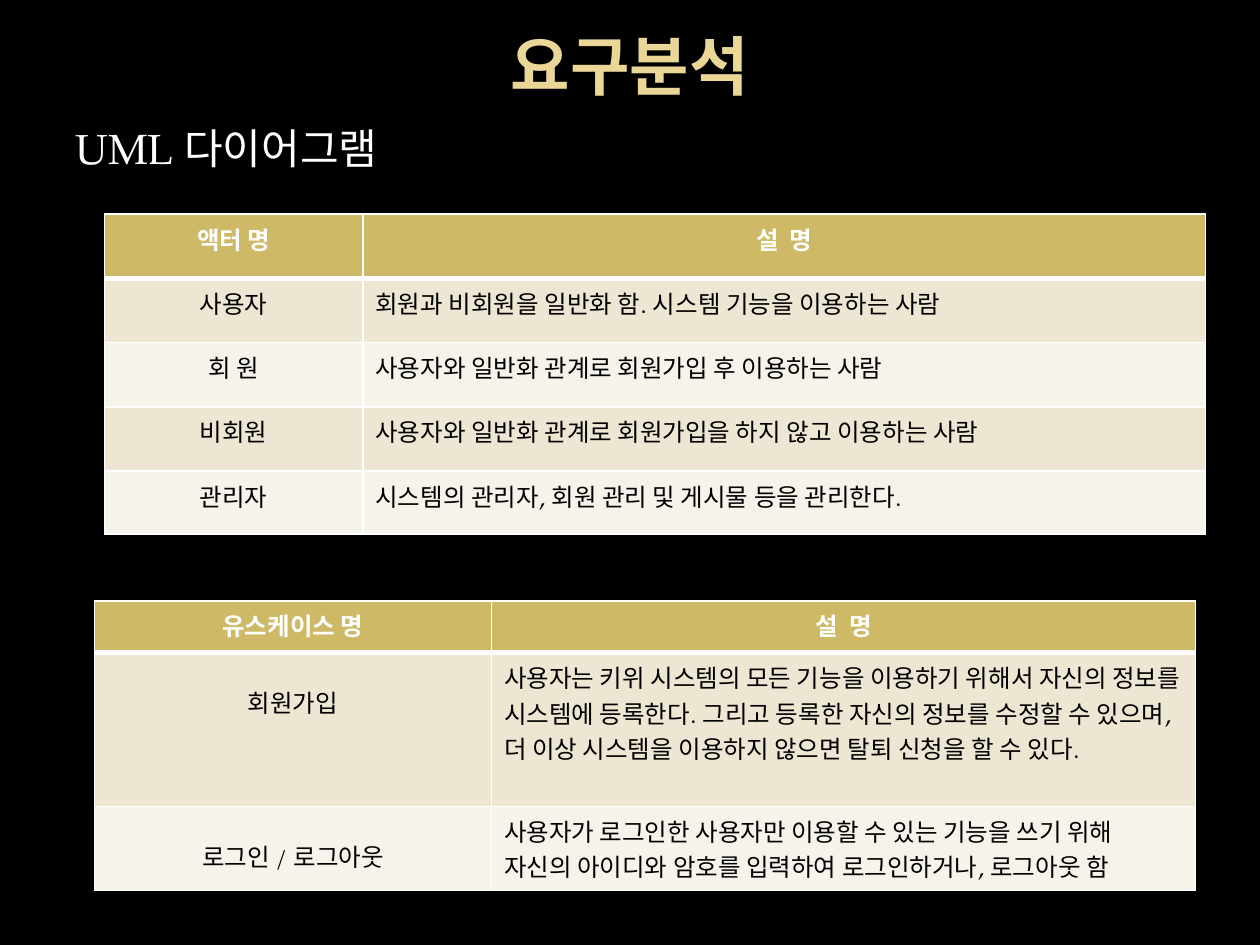
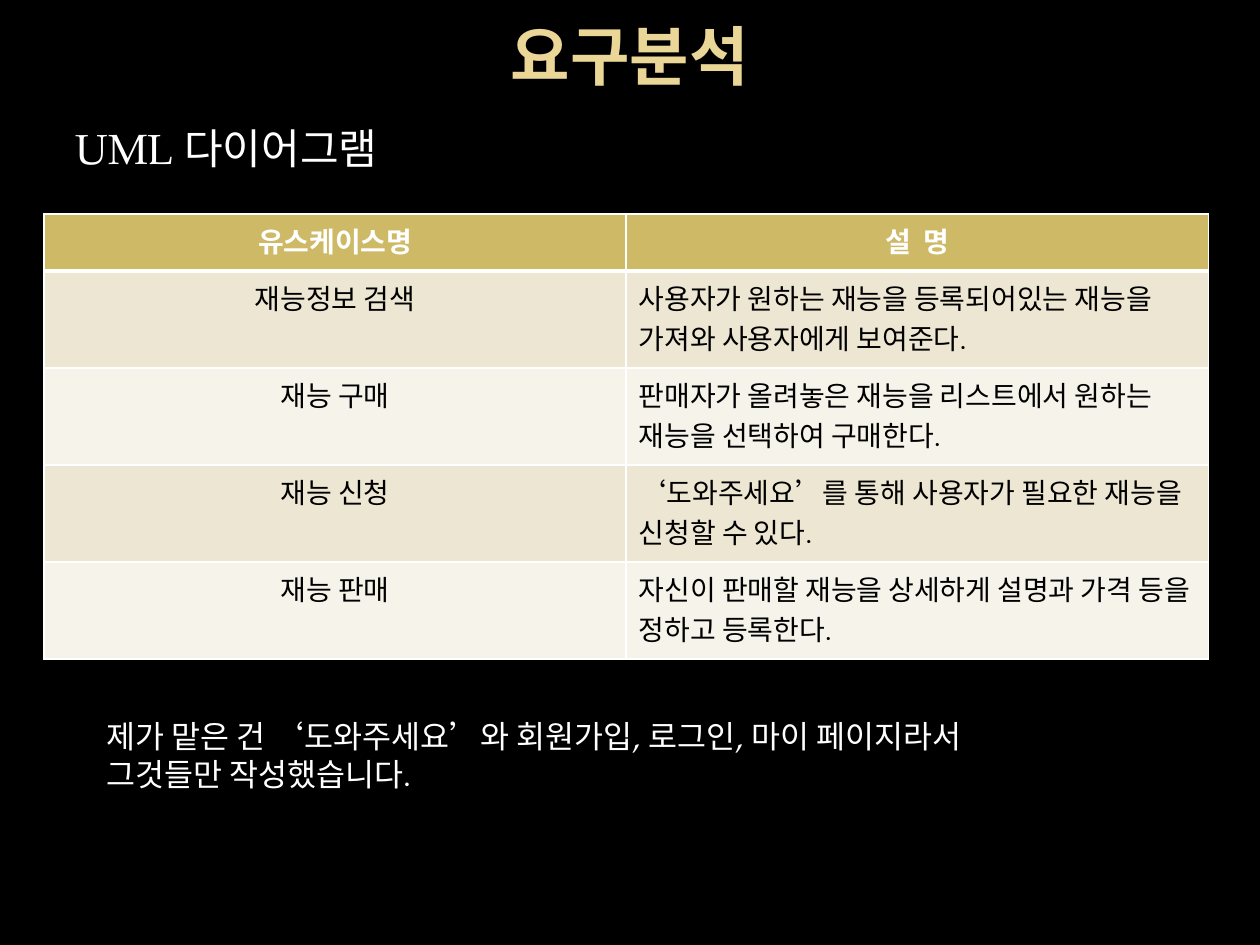
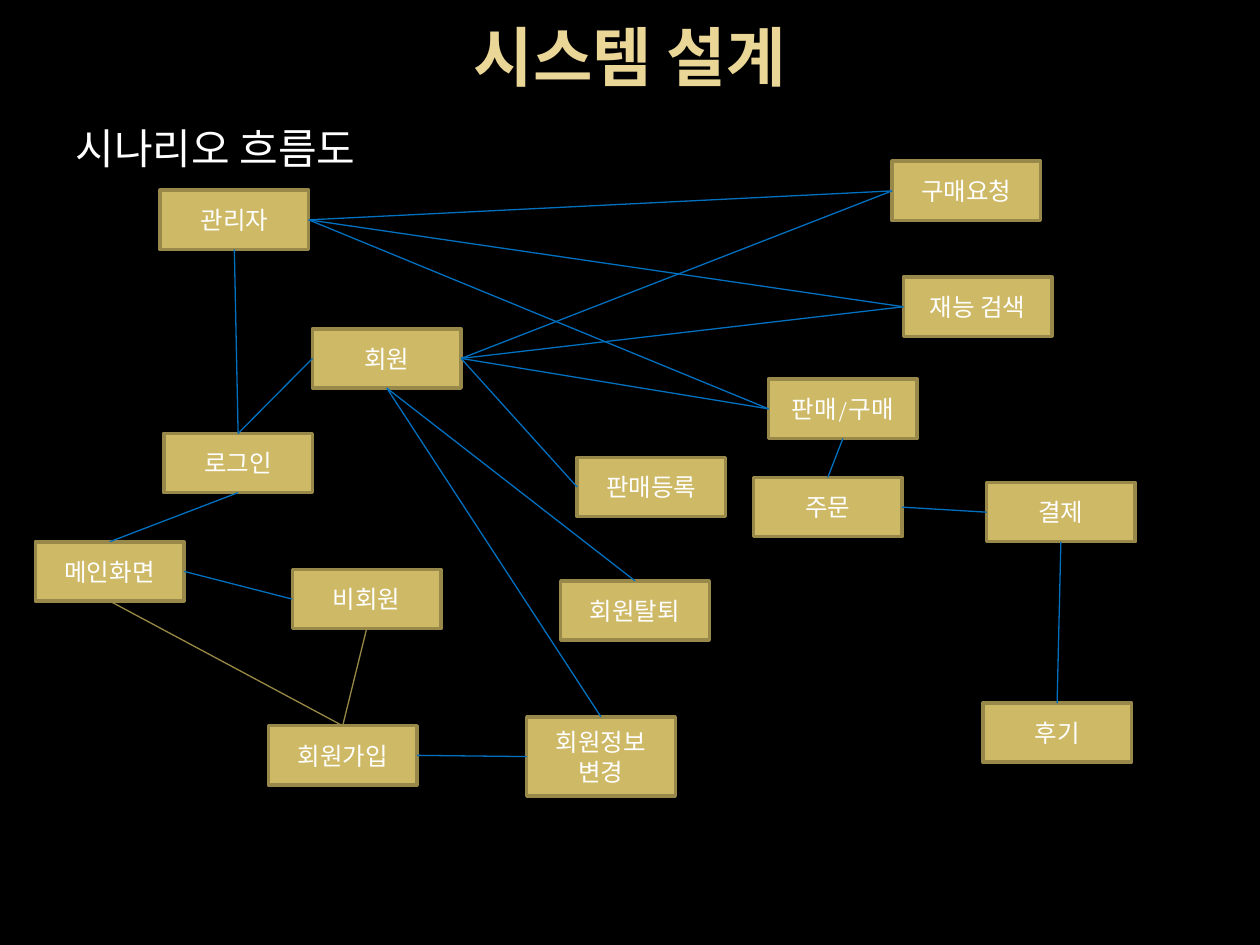
from lxml import etree
from pptx import Presentation
from pptx.dml.color import RGBColor
from pptx.enum import shapes, text
from pptx.oxml import ns
from pptx.util import Inches, Pt

BLACK = RGBColor(0x00, 0x00, 0x00)
WHITE = RGBColor(0xFF, 0xFF, 0xFF)
TITLE_GOLD = RGBColor(0xEA, 0xD6, 0x96)
TITLE_SHADE = RGBColor(0xE7, 0xD0, 0x81)
GOLD = RGBColor(0xCE, 0xB9, 0x66)
BOX_EDGE = RGBColor(0x98, 0x89, 0x4B)
JOIN_LINE = RGBColor(0x99, 0x89, 0x46)
FLOW_LINE = RGBColor(0x00, 0x70, 0xC0)
ROW_FILLS = (RGBColor(0xF6, 0xF3, 0xEA), RGBColor(0xED, 0xE6, 0xD3))

TITLE_FONT = "Noto Sans"
BODY_FONT = "TeX Gyre Pagella"

TOP, LEFT, BOTTOM, RIGHT = range(4)
BOX_WIDTH, BOX_HEIGHT = 1.18, 0.47


class SlideBuilder:
    """Holds the shared style and the slide being built."""

    def __init__(self):
        self.deck = Presentation()
        self.deck.slide_width, self.deck.slide_height = Inches(10), Inches(7.5)
        background = self.deck.slide_master.background.fill
        background.solid()
        background.fore_color.rgb = BLACK
        self.page = None

    def place(self, shape, *bounds):
        shape.left, shape.top, shape.width, shape.height = map(Inches, bounds)

    def style(self, paragraph, size, color=WHITE, bold=False, name=BODY_FONT):
        for span in paragraph.runs:
            span.font.name, span.font.size, span.font.bold = name, Pt(size), bold
            span.font.color.rgb = color

    def start(self, title, subtitle, title_top=0.13, title_height=0.77):
        """Add a slide with its title and its unbulleted subtitle."""
        self.page = self.deck.slides.add_slide(self.deck.slide_layouts[1])
        heading, body = self.page.placeholders
        self.place(heading, 0.5, title_top, 9, title_height)
        self.place(body, 0.5, 0.92, 9, 5.78)
        for holder, words in ((heading, title), (body, subtitle)):
            holder.text_frame.text = words
            holder.text_frame.auto_size = text.MSO_AUTO_SIZE.NONE

        paragraph = heading.text_frame.paragraphs[0]
        self.style(paragraph, 36.9, TITLE_GOLD, True, TITLE_FONT)
        fill = paragraph.runs[0].font.fill
        fill.gradient()
        fill.gradient_angle = 280
        stops = ((0.73, TITLE_GOLD), (1, TITLE_SHADE))
        for stop, (position, color) in zip(fill.gradient_stops, stops):
            stop.position, stop.color.rgb = position, color

        paragraph = body.text_frame.paragraphs[0]
        self.style(paragraph, 24)
        properties = paragraph._p.get_or_add_pPr()
        properties.set("marL", "0")
        properties.set("indent", "0")
        etree.SubElement(properties, ns.qn("a:buNone"))

    def border(self, cell, is_header):
        properties = cell._tc.get_or_add_tcPr()
        for index, side in enumerate("LRTB"):
            width = Pt(3 if is_header and side == "B" else 1)
            line = etree.Element(ns.qn(f"a:ln{side}"), w=str(int(width)))
            fill = etree.SubElement(line, ns.qn("a:solidFill"))
            etree.SubElement(fill, ns.qn("a:srgbClr"), val=str(WHITE))
            properties.insert(index, line)

    def table(self, left, top, widths, heights, rows, size, name_margin=0.05):
        """Add a two-column table: centred names, then descriptions."""
        frame = self.page.shapes.add_table(
            len(rows), len(widths), Inches(left), Inches(top),
            Inches(sum(widths)), Inches(sum(heights)))
        grid = frame.table
        for column, width in zip(grid.columns, widths):
            column.width = Inches(width)
        for row, height in zip(grid.rows, heights):
            row.height = Inches(height)
        for r, row in enumerate(rows):
            is_header = r == 0
            for c, words in enumerate(row):
                cell = grid.cell(r, c)
                cell.text_frame.text = words
                paragraph = cell.text_frame.paragraphs[0]
                self.style(paragraph, size, WHITE if is_header else BLACK, is_header)
                if is_header or c == 0:
                    paragraph.alignment = text.PP_ALIGN.CENTER
                if c == 0 and not is_header:
                    cell.margin_top = Inches(name_margin)
                cell.fill.solid()
                cell.fill.fore_color.rgb = GOLD if is_header else ROW_FILLS[r % 2]
                self.border(cell, is_header)

    def note(self, words, size, *bounds):
        box = self.page.shapes.add_textbox(*map(Inches, bounds))
        box.text_frame.word_wrap = True
        box.text_frame.text = words
        for paragraph in box.text_frame.paragraphs:
            self.style(paragraph, size)

    def box(self, words, left, top, height=BOX_HEIGHT):
        box = self.page.shapes.add_shape(
            shapes.MSO_SHAPE.RECTANGLE, Inches(left), Inches(top),
            Inches(BOX_WIDTH), Inches(height))
        box.shadow.inherit = False
        box.fill.solid()
        box.fill.fore_color.rgb = GOLD
        box.line.color.rgb = BOX_EDGE
        box.line.width = Pt(2)
        box.text_frame.text = words
        paragraph = box.text_frame.paragraphs[0]
        paragraph.alignment = text.PP_ALIGN.CENTER
        self.style(paragraph, 14)
        return box

    def link(self, start, start_side, end, end_side, color=FLOW_LINE):
        line = self.page.shapes.add_connector(
            shapes.MSO_CONNECTOR.STRAIGHT, 0, 0, 0, 0)
        line.begin_connect(start, start_side)
        line.end_connect(end, end_side)
        line.line.color.rgb = color
        line.line.width = Pt(0.75)
        etree.SubElement(line._element.spPr, ns.qn("a:effectLst"))


def build_actors(builder):
    builder.start("요구분석", "UML 다이어그램")
    builder.table(0.83, 1.7, (2.05, 6.69), [0.51] * 4 + [0.5], (
        ("액터 명", "설  명"),
        ("사용자", "회원과 비회원을 일반화 함. 시스템 기능을 이용하는 사람"),
        ("회 원", "사용자와 일반화 관계로 회원가입 후 이용하는 사람"),
        ("비회원", "사용자와 일반화 관계로 회원가입을 하지 않고 이용하는 사람"),
        ("관리자", "시스템의 관리자, 회원 관리 및 게시물 등을 관리한다."),
    ), 14)
    builder.table(0.75, 4.77, (3.15, 5.59), (0.41, 1.22, 0.67), (
        ("유스케이스 명", "설  명"),
        ("회원가입", "사용자는 키위 시스템의 모든 기능을 이용하기 위해서 자신의 정보를 "
         "시스템에 등록한다. 그리고 등록한 자신의 정보를 수정할 수 있으며, "
         "더 이상 시스템을 이용하지 않으면 탈퇴 신청을 할 수 있다."),
        ("로그인 / 로그아웃", "사용자가 로그인한 사용자만 이용할 수 있는 기능을 쓰기 위해 "
         "자신의 아이디와 암호를 입력하여 로그인하거나, 로그아웃 함"),
    ), 14, name_margin=0.25)


def build_use_cases(builder):
    builder.start("요구분석", "UML 다이어그램", title_height=0.61)
    builder.table(0.35, 1.7, (4.62, 4.62), [0.45] + [0.77] * 4, (
        ("유스케이스명", "설  명"),
        ("재능정보 검색", "사용자가 원하는 재능을 등록되어있는 재능을 가져와 사용자에게 보여준다."),
        ("재능 구매", "판매자가 올려놓은 재능을 리스트에서 원하는 재능을 선택하여 구매한다."),
        ("재능 신청", "‘도와주세요’를 통해 사용자가 필요한 재능을 신청할 수 있다."),
        ("재능 판매", "자신이 판매할 재능을 상세하게 설명과 가격 등을 정하고 등록한다."),
    ), 16)
    builder.note("제가 맡은 건 ‘도와주세요’와 회원가입, 로그인, 마이 페이지라서\n"
                 "그것들만 작성했습니다.", 18, 0.75, 5.64, 7.56, 0.71)


def build_flow(builder):
    builder.start("시스템 설계", "시나리오 흐름도", title_top=0.06)

    # Steps
    admin = builder.box("관리자", 1.27, 1.51)
    member = builder.box("회원", 2.48, 2.61)
    login = builder.box("로그인", 1.3, 3.44)
    main_screen = builder.box("메인화면", 0.28, 4.3)
    guest = builder.box("비회원", 2.32, 4.52)
    sign_up = builder.box("회원가입", 2.13, 5.76)
    edit_profile = builder.box("회원정보 변경", 4.18, 5.69, 0.63)
    withdrawal = builder.box("회원탈퇴", 4.45, 4.61)
    listing = builder.box("판매등록", 4.58, 3.63)
    trade = builder.box("판매/구매", 6.1, 3.01)
    search = builder.box("재능 검색", 7.17, 2.2)
    request = builder.box("구매요청", 7.08, 1.28)
    order = builder.box("주문", 5.98, 3.79)
    payment = builder.box("결제", 7.83, 3.83)
    review = builder.box("후기", 7.8, 5.58)

    # Entry and account
    builder.link(main_screen, TOP, login, BOTTOM)
    builder.link(guest, LEFT, main_screen, RIGHT)
    builder.link(main_screen, BOTTOM, sign_up, TOP, JOIN_LINE)
    builder.link(guest, BOTTOM, sign_up, TOP, JOIN_LINE)
    builder.link(sign_up, RIGHT, edit_profile, LEFT)
    builder.link(login, TOP, member, LEFT)
    builder.link(login, TOP, admin, BOTTOM)
    for target in (edit_profile, withdrawal):
        builder.link(member, BOTTOM, target, TOP)

    # Trading
    for actor in (member, admin):
        for target in (trade, search, request):
            builder.link(actor, RIGHT, target, LEFT)
    builder.link(member, RIGHT, listing, LEFT)
    builder.link(trade, BOTTOM, order, TOP)
    builder.link(order, RIGHT, payment, LEFT)
    builder.link(payment, BOTTOM, review, TOP)


def main():
    builder = SlideBuilder()
    build_actors(builder)
    build_use_cases(builder)
    build_flow(builder)
    builder.deck.save("out.pptx")


if __name__ == "__main__":
    main()
